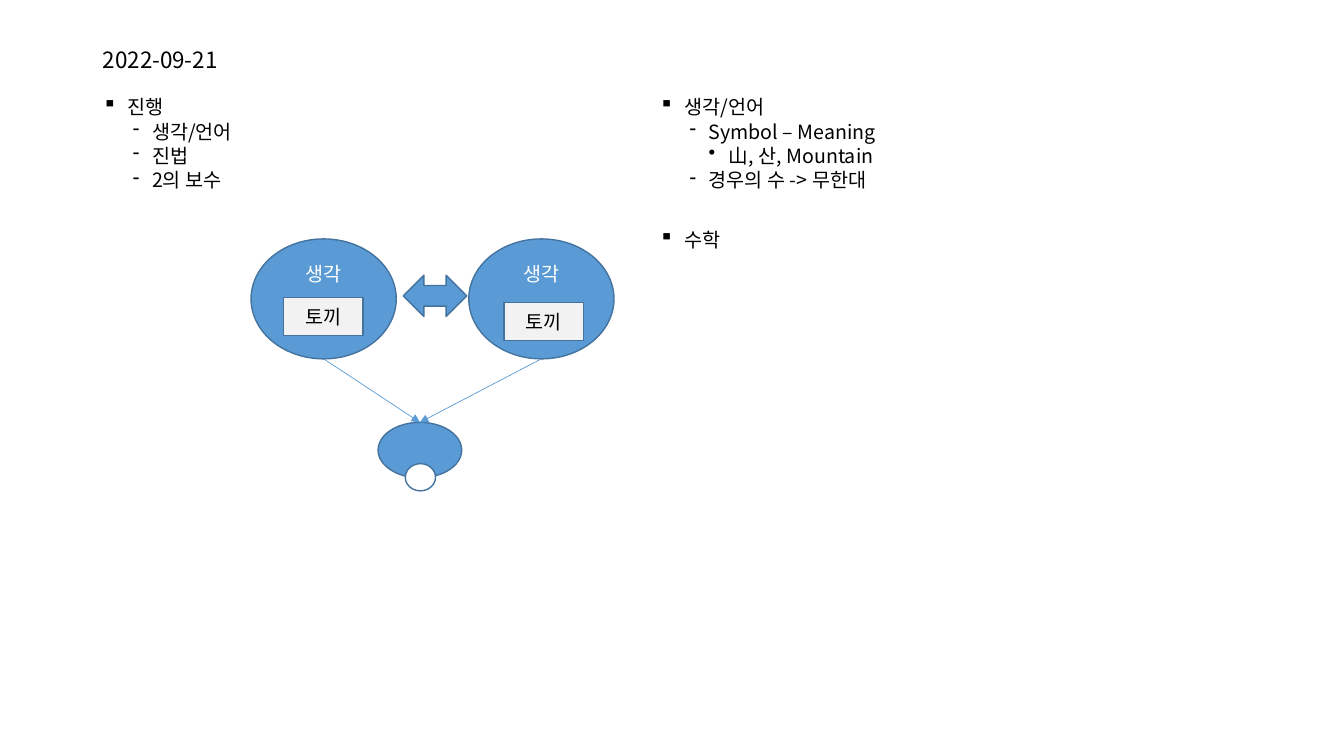
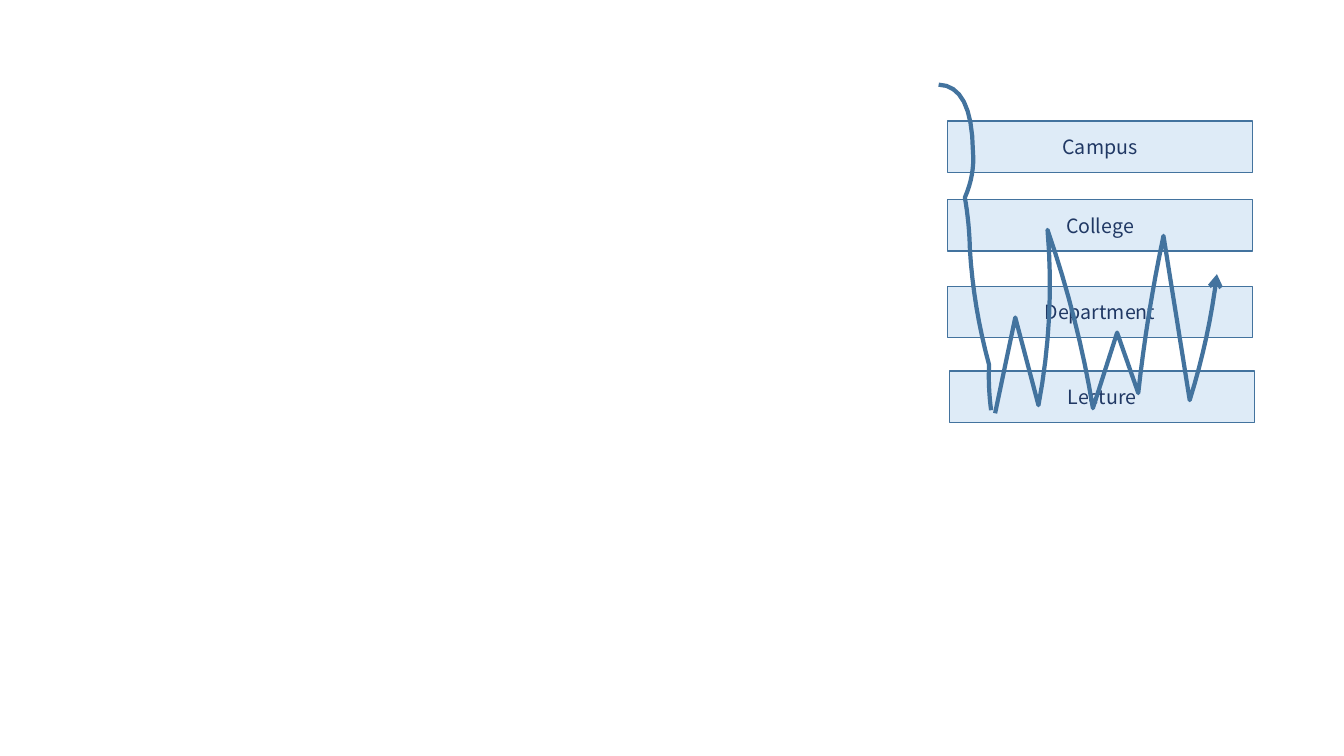
"""Build two lecture-note slides: thought and language, and a college hierarchy."""
import lxml.etree
import pptx
import pptx.dml.color
import pptx.enum.shapes
import pptx.enum.text
import pptx.oxml.ns
import pptx.util

Inches = pptx.util.Inches
Pt = pptx.util.Pt
RGBColor = pptx.dml.color.RGBColor
MSO_SHAPE = pptx.enum.shapes.MSO_SHAPE
MSO_ANCHOR = pptx.enum.text.MSO_ANCHOR
PP_ALIGN = pptx.enum.text.PP_ALIGN
qn = pptx.oxml.ns.qn

FONT = "Noto Sans CJK KR"
BLACK = RGBColor(0x00, 0x00, 0x00)
WHITE = RGBColor(0xFF, 0xFF, 0xFF)
BLUE = RGBColor(0x5B, 0x9B, 0xD5)
OUTLINE = RGBColor(0x43, 0x73, 0x9E)
LIGHT_GRAY = RGBColor(0xF2, 0xF2, 0xF2)
PALE_BLUE = RGBColor(0xDE, 0xEB, 0xF7)
NAVY = RGBColor(0x20, 0x38, 0x64)


def format_text(paragraph, color, size=14):
    """Apply the shared font to a paragraph, for Latin and Korean alike."""
    paragraph.font.name = FONT
    paragraph.font.size = Pt(size)
    paragraph.font.color.rgb = color
    latin = paragraph._p.pPr.find(qn("a:defRPr")).find(qn("a:latin"))
    latin.addnext(latin.makeelement(qn("a:ea"), {"typeface": FONT}))


def add_block(slide, kind, box, fill, text="", color=WHITE, anchor=MSO_ANCHOR.MIDDLE):
    """Add an outlined shape with an optional centred label."""
    shape = slide.shapes.add_shape(kind, *(Inches(length) for length in box))
    shape.shadow.inherit = False
    shape.fill.solid()
    shape.fill.fore_color.rgb = fill
    shape.line.color.rgb = OUTLINE
    shape.line.width = Pt(1)
    if text:
        shape.text_frame.text = text
        shape.text_frame.vertical_anchor = anchor
        paragraph = shape.text_frame.paragraphs[0]
        paragraph.alignment = PP_ALIGN.CENTER
        format_text(paragraph, color)
    return shape


presentation = pptx.Presentation()
presentation.slide_width = Inches(13.33)
presentation.slide_height = Inches(7.5)

slide = presentation.slides.add_slide(presentation.slide_layouts[5])
title = slide.shapes.title
title.left, title.top = Inches(0.92), Inches(0.4)
title.width, title.height = Inches(11.5), Inches(0.39)
title.text_frame.text = "2022-09-21"
title.text_frame.vertical_anchor = MSO_ANCHOR.MIDDLE
title.text_frame.paragraphs[0].alignment = PP_ALIGN.LEFT
format_text(title.text_frame.paragraphs[0], BLACK, 16)

LEVELS = [("▪", 0.25, 0.25, 30), ("-", 0.49, 0.19, 5), ("•", 0.69, 0.2, 5)]
outlines = [
    (0.92, 5.36, [(0, "진행"), (1, "생각/언어"), (1, "진법"), (1, "2의 보수")]),
    (6.44, 6.08, [(0, "생각/언어"), (1, "Symbol – Meaning"), (2, "山, 산, Mountain"),
                  (1, "경우의 수 -> 무한대"), (0, "수학")]),
]
for left, width, items in outlines:
    text_box = slide.shapes.add_textbox(Inches(left), Inches(0.95), Inches(width), Inches(5.8))
    frame = text_box.text_frame
    frame.word_wrap = True
    for index, (level, text) in enumerate(items):
        bullet, margin, hanging, space = LEVELS[level]
        paragraph = frame.add_paragraph() if index else frame.paragraphs[0]
        paragraph.text = text
        paragraph.level = level
        properties = paragraph._p.get_or_add_pPr()
        properties.set("marL", str(Inches(margin)))
        properties.set("indent", str(-Inches(hanging)))
        lxml.etree.SubElement(properties, qn("a:buChar"), char=bullet)
        paragraph.line_spacing = 0.74
        paragraph.space_before = Pt(space if index else 0)
        format_text(paragraph, BLACK)

thought_top, thought_width, thought_height = 2.37, 1.44, 1.19
head = add_block(slide, MSO_SHAPE.OVAL, (3.75, 4.19, 0.83, 0.55), BLUE)
add_block(slide, MSO_SHAPE.OVAL, (4.02, 4.6, 0.3, 0.27), WHITE)
for thought_left, word_left, word_top in ((2.49, 2.81, 2.95), (4.65, 5, 3)):
    add_block(slide, MSO_SHAPE.OVAL, (thought_left, thought_top, thought_width, thought_height),
              BLUE, "생각", anchor=MSO_ANCHOR.TOP)
    add_block(slide, MSO_SHAPE.RECTANGLE, (word_left, word_top, 0.79, 0.38),
              LIGHT_GRAY, "토끼", BLACK)
    connector = slide.shapes.add_connector(
        pptx.enum.shapes.MSO_CONNECTOR.STRAIGHT,
        Inches(thought_left + thought_width / 2), Inches(thought_top + thought_height),
        head.left + head.width // 2, head.top)
    connector.end_connect(head, 0)
    connector.line.color.rgb = BLUE
    connector.line.width = Pt(0.5)
    properties = connector._element.spPr
    lxml.etree.SubElement(properties.find(qn("a:ln")), qn("a:tailEnd"), type="triangle")
    lxml.etree.SubElement(properties, qn("a:effectLst"))
add_block(slide, MSO_SHAPE.LEFT_RIGHT_ARROW, (4, 2.73, 0.63, 0.41), BLUE)

slide = presentation.slides.add_slide(presentation.slide_layouts[6])
for text, left, top in (("Campus", 9.4, 1.2), ("College", 9.4, 1.98),
                        ("Department", 9.4, 2.84), ("Lecture", 9.42, 3.68)):
    add_block(slide, MSO_SHAPE.RECTANGLE, (left, top, 3.02, 0.51), PALE_BLUE, text, NAVY)

STEPS_PER_LEG = 8
STRAIGHT = (0, 0)
descent_start = (9.31, 0.84)
descent_legs = [
    ((9.65, 1.5), (0.08, -0.16)),
    ((9.57, 1.96), (0.03, 0)),
    ((9.62, 2.48), (0.01, 0)),
    ((9.81, 3.62), (-0.03, 0)),
    ((9.83, 4.07), (-0.01, 0)),
]
zigzag_start = (9.87, 4.1)
zigzag_legs = [
    ((10.07, 3.15), STRAIGHT),
    ((10.3, 4.02), STRAIGHT),
    ((10.39, 2.28), (0.06, 0)),
    ((10.84, 4.05), (0.04, 0)),
    ((11.08, 3.3), STRAIGHT),
    ((11.29, 3.9), STRAIGHT),
    ((11.54, 2.34), (-0.02, 0)),
    ((11.8, 3.97), STRAIGHT),
    ((12.07, 2.72), (0.03, 0)),
]
for start, legs, has_arrowhead in ((descent_start, descent_legs, False),
                                   (zigzag_start, zigzag_legs, True)):
    builder = slide.shapes.build_freeform(*(Inches(length) for length in start))
    leg_start = start
    for leg_end, bulge in legs:
        curve = []
        for step in range(1, STEPS_PER_LEG + 1):
            share = step / STEPS_PER_LEG
            bend = 4 * share * (1 - share)
            curve.append([Inches(begin + (end - begin) * share + offset * bend)
                          for begin, end, offset in zip(leg_start, leg_end, bulge)])
        builder.add_line_segments(curve, close=False)
        leg_start = leg_end
    stroke = builder.convert_to_shape()
    stroke.shadow.inherit = False
    stroke.fill.background()
    stroke.line.color.rgb = OUTLINE
    stroke.line.width = Pt(3)
    if has_arrowhead:
        outline = stroke._element.spPr.find(qn("a:ln"))
        lxml.etree.SubElement(outline, qn("a:tailEnd"), type="arrow")

presentation.save("out.pptx")
